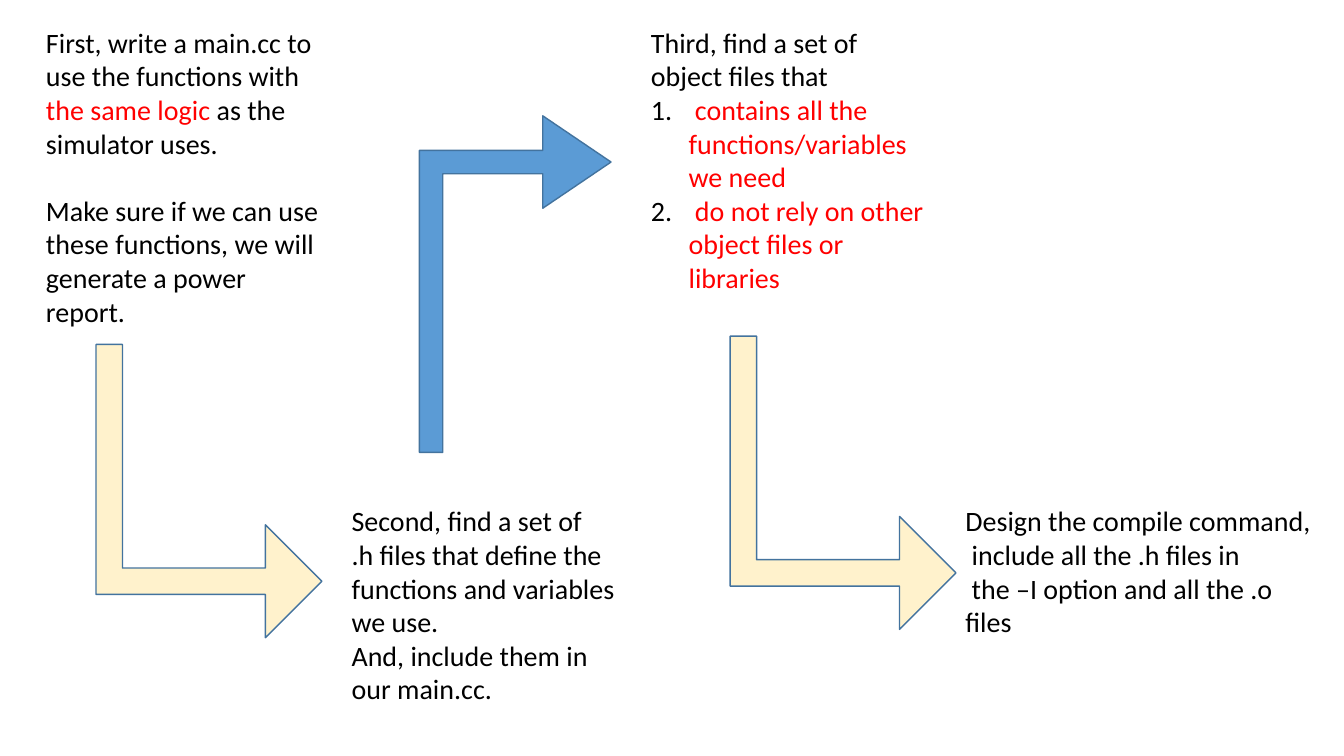
from dataclasses import dataclass

from pptx import Presentation
from pptx.dml.color import RGBColor
from pptx.enum.shapes import MSO_SHAPE
from pptx.enum.text import MSO_ANCHOR, MSO_AUTO_SIZE, PP_ALIGN
from pptx.oxml.xmlchemy import OxmlElement
from pptx.util import Cm, Pt


@dataclass(frozen=True)
class Theme:
    font: str = "Calibri"
    size: int = 20
    ink: str = "000000"
    alert: str = "FF0000"
    cream: str = "FFF2CC"
    blue: str = "5B9BD5"
    edge: str = "43739E"


THEME = Theme()
HANG = Cm(0.95)


def write(para, text, color=THEME.ink, size=THEME.size):
    run = para.add_run()
    run.text = text
    run.font.name = THEME.font
    run.font.size = Pt(size)
    run.font.color.rgb = RGBColor.from_string(color)


def layout(para, gap=0, number=False):
    para.alignment = PP_ALIGN.LEFT
    para.space_before = Pt(gap)
    props = para._p.get_or_add_pPr()
    props.set("marL", str(HANG if number else 0))
    props.set("indent", str(-HANG if number else 0))
    mark = OxmlElement("a:buAutoNum" if number else "a:buNone")
    if number:
        mark.set("type", "arabicPeriod")
    props.append(mark)


def fill(shape, paras):
    frame = shape.text_frame
    frame.word_wrap = True
    frame.auto_size = MSO_AUTO_SIZE.NONE
    frame.vertical_anchor = MSO_ANCHOR.TOP
    for i, (runs, style) in enumerate(paras):
        para = frame.add_paragraph() if i else frame.paragraphs[0]
        layout(para, **style)
        for text, form in runs:
            write(para, text, **form)


def plain(text, **style):
    return [(text, {})], style


def item(text):
    return [(" ", {}), (text, {"color": THEME.alert})], {"number": True}


def note(slide, box, paras):
    fill(slide.shapes.add_textbox(*map(Cm, box)), paras)


def body(slide, box, paras):
    shape = slide.placeholders[1]
    shape.left, shape.top, shape.width, shape.height = map(Cm, box)
    fill(shape, paras)


def arrow(slide, kind, box, color, adjust, turn=0):
    shape = slide.shapes.add_shape(kind, *map(Cm, box))
    shape.shadow.inherit = False
    shape.rotation = turn
    for i, value in enumerate(adjust):
        shape.adjustments[i] = value
    shape.fill.solid()
    shape.fill.fore_color.rgb = RGBColor.from_string(color)
    shape.line.color.rgb = RGBColor.from_string(THEME.edge)
    shape.line.width = Pt(1)


def main():
    deck = Presentation()
    deck.slide_width, deck.slide_height = Cm(33.87), Cm(19.05)
    slide = deck.slides.add_slide(deck.slide_layouts[1])
    title = slide.shapes.title.element
    title.getparent().remove(title)

    body(slide, (16.15, 0.51, 7.44, 7.09), [
        plain("Third, find a set of object files that "),
        item("contains all the functions/variables we need "),
        item("do not rely on other object files or libraries"),
    ])
    first = [
        ("First, write a main.cc to use the functions with ", {}),
        ("the same logic ", {"color": THEME.alert}),
        ("as the simulator uses. ", {}),
    ]
    note(slide, (0.91, 0.51, 7.44, 7.95), [
        (first, {}),
        plain("Make sure if we can use these functions, "
              "we will generate a power report.", gap=24),
    ])
    note(slide, (8.61, 12.57, 7.24, 5.38), [
        plain("Second, find a set of "),
        plain(".h files that define the functions and variables we use."),
        plain("And, include them in our main.cc."),
    ])
    note(slide, (24.08, 12.57, 9.22, 3.68), [
        plain("Design the compile command,"),
        plain(" include all the .h files in"),
        plain(" the \u2013I option and all the .o files"),
    ])

    for left, top in ((1.57, 9.53), (17.55, 9.32)):
        arrow(slide, MSO_SHAPE.BENT_UP_ARROW, (left, top, 7.39, 5.69),
              THEME.cream, (0.117, 0.25, 0.25), turn=90)
    arrow(slide, MSO_SHAPE.BENT_ARROW, (10.57, 2.92, 4.83, 8.48),
          THEME.blue, (0.122, 0.241, 0.356, 0))
    deck.save("out.pptx")


main()
